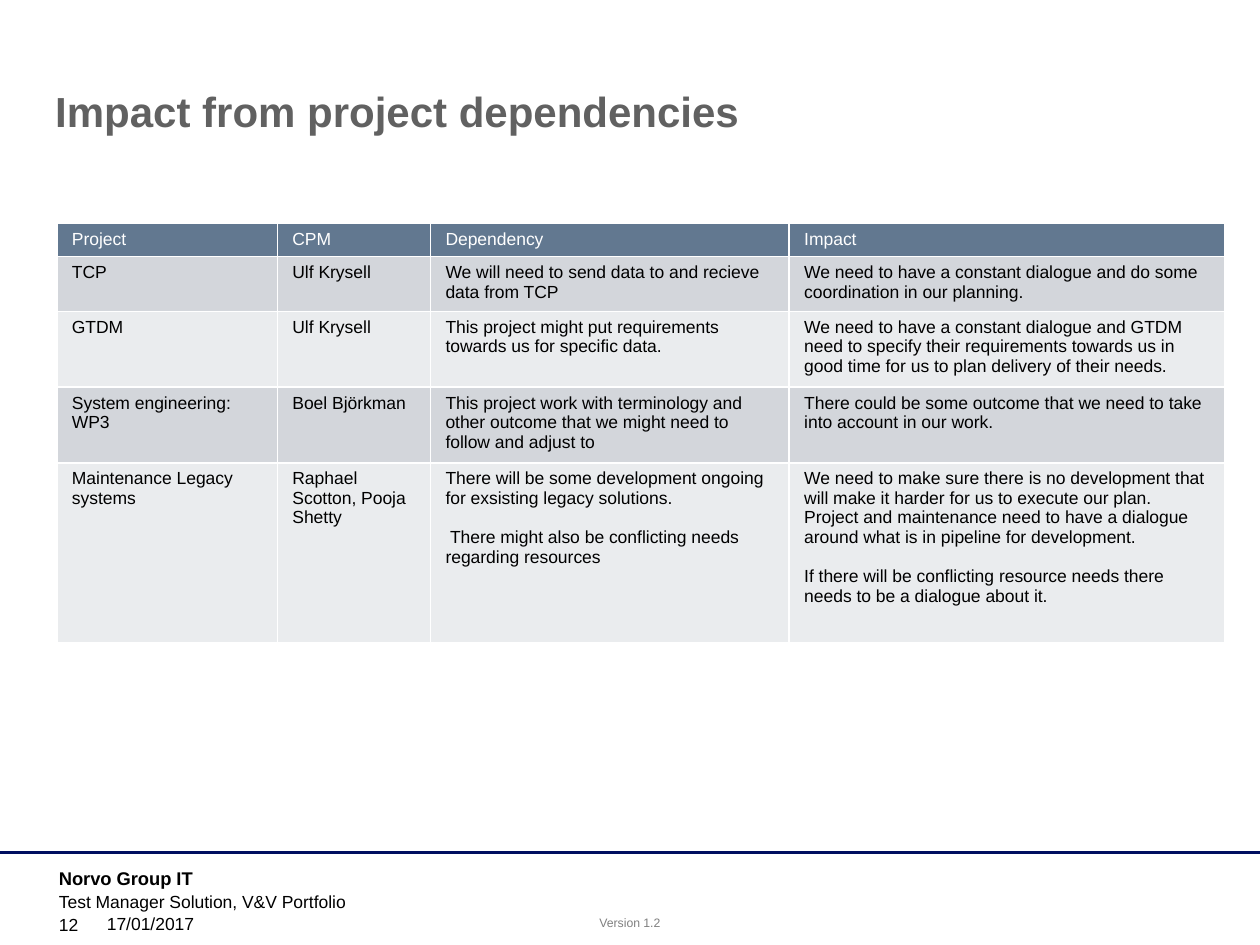
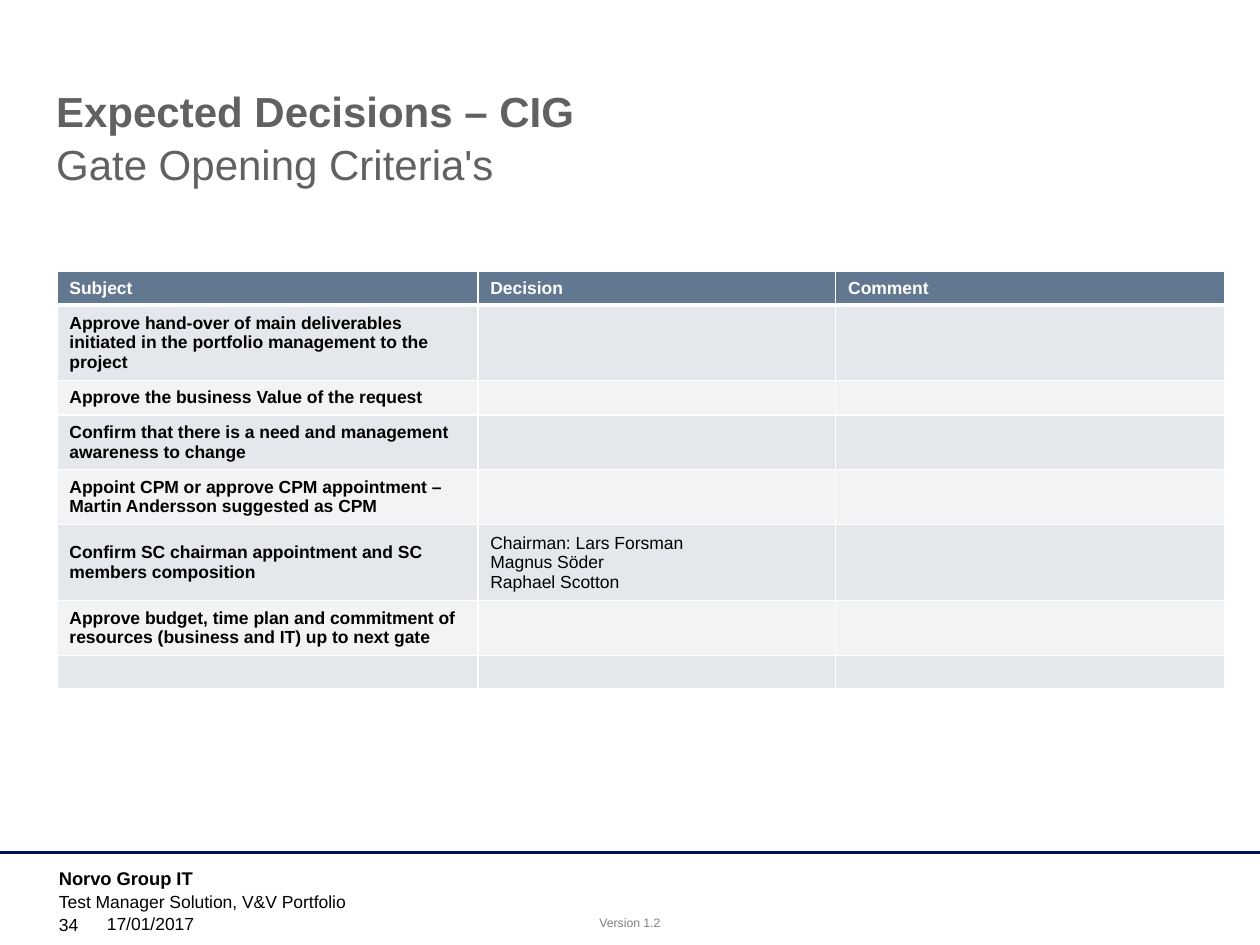
from lxml.etree import SubElement
from pptx import Presentation
from pptx.dml.color import RGBColor
from pptx.enum.shapes import MSO_CONNECTOR
from pptx.enum.text import MSO_ANCHOR, PP_ALIGN
from pptx.oxml.ns import qn
from pptx.util import Pt

FONT = "Arial"
WHITE, BLACK, GREY, SILVER = "FFFFFF", "000000", "616161", "808080"
NAVY, SLATE = "000F60", "627890"
DARK_BANDS = ("D3D6DB", "EAECEE")
LIGHT_BANDS = ("E4E7EB", "F2F3F5")
PAGE_WIDTH, PAGE_HEIGHT = 720, 540
TABLE_LEFT = 32.5
PARAGRAPH_GAP = 11.2

DEPENDENCIES = [
    ("Project", "CPM", "Dependency", "Impact"),
    ("TCP", "Ulf Krysell",
     "We will need to send data to and recieve data from TCP",
     "We need to have a constant dialogue and do some coordination in our planning."),
    ("GTDM", "Ulf Krysell",
     "This project might put requirements towards us for specific data.",
     "We need to have a constant dialogue and GTDM need to specify their requirements "
     "towards us in good time for us to plan delivery of their needs."),
    ("System engineering: WP3", "Boel Björkman",
     "This project work with terminology and other outcome that we might need to "
     "follow and adjust to",
     "There could be some outcome that we need to take into account in our work."),
    ("Maintenance Legacy systems", "Raphael Scotton, Pooja Shetty",
     "There will be some development ongoing for exsisting legacy solutions.\n"
     " There might also be conflicting needs regarding resources",
     "We need to make sure there is no development that will make it harder for us to "
     "execute our plan. Project and maintenance need to have a dialogue around what is "
     "in pipeline for development.\n"
     "If there will be conflicting resource needs there needs to be a dialogue about it."),
]
DECISIONS = [
    ("Subject", "Decision", "Comment"),
    ("Approve hand-over of main deliverables initiated in the portfolio management "
     "to the project", "", ""),
    ("Approve the business Value of the request", "", ""),
    ("Confirm that there is a need and management awareness to change", "", ""),
    ("Appoint CPM or approve CPM appointment – Martin Andersson suggested as CPM", "", ""),
    ("Confirm SC chairman appointment and SC members composition",
     "Chairman: Lars Forsman\nMagnus Söder\nRaphael Scotton", ""),
    ("Approve budget, time plan and commitment of resources (business and IT) up to "
     "next gate", "", ""),
    ("", "", ""),
]


def color(value):
    """Turn a hex string into a colour."""
    return RGBColor.from_string(value)


def style_span(span, size, fill, bold=False):
    """Set the font of one run."""
    span.font.name = FONT
    span.font.size = Pt(size)
    span.font.bold = bold
    span.font.color.rgb = color(fill)


def add_text(page, box, text, size, fill=BLACK, bold=False,
             anchor=MSO_ANCHOR.TOP, align=PP_ALIGN.LEFT, wrap=True):
    """Add a text box of one paragraph and return that paragraph."""
    frame = page.shapes.add_textbox(*map(Pt, box)).text_frame
    frame.word_wrap = wrap
    frame.vertical_anchor = anchor
    para = frame.paragraphs[0]
    para.text = text
    para.alignment = align
    for span in para.runs:
        style_span(span, size, fill, bold)
    return para


def add_title(page, box, heading, subheading=""):
    """Add the bold heading with an optional light second line."""
    text = f"{heading}\v{subheading}" if subheading else heading
    para = add_text(page, box, text, 24, GREY, True)
    para.line_spacing = 1.05
    for span in para.runs[1:]:
        span.font.bold = False


def add_footer(page, top, number):
    """Add the rule and the footer texts below it."""
    rule = page.shapes.add_connector(
        MSO_CONNECTOR.STRAIGHT, Pt(0), Pt(top), Pt(PAGE_WIDTH), Pt(top))
    rule.line.color.rgb = color(NAVY)
    rule.line.width = Pt(2)
    SubElement(rule._element.spPr, qn("a:effectLst"))
    left, bottom = 26.6, MSO_ANCHOR.BOTTOM
    add_text(page, (left, top + 5, 168, 17), "Norvo Group IT", 10.5, bold=True)
    add_text(page, (335, top + 32.5, 50, 16), "Version 1.2", 7, SILVER,
             align=PP_ALIGN.CENTER, wrap=False)
    add_text(page, (left, top + 18.7, 541, 17), "Test Manager Solution, V&V Portfolio", 10)
    add_text(page, (left, top + 34, 40, 16.5), number, 10, anchor=bottom)
    add_text(page, (54, top + 33.5, 189, 16.5), "17/01/2017", 10, anchor=bottom)


def add_borders(cell, top=1, bottom=1):
    """Draw white lines round a cell."""
    properties = cell._tc.get_or_add_tcPr()
    for side, width in (("L", 1), ("R", 1), ("T", top), ("B", bottom)):
        line = SubElement(properties, qn(f"a:ln{side}"), w=str(Pt(width)))
        SubElement(SubElement(line, qn("a:solidFill")), qn("a:srgbClr"), val=WHITE)


def fill_cell(cell, text, fill, ink, bold, anchor, inset, gap):
    """Set the fill, the insets and the text of a cell."""
    cell.fill.solid()
    cell.fill.fore_color.rgb = color(fill)
    cell.vertical_anchor = anchor
    cell.margin_left = cell.margin_right = Pt(inset)
    cell.margin_top = cell.margin_bottom = Pt(3.6)
    cell.text_frame.text = text
    for index, para in enumerate(cell.text_frame.paragraphs):
        if index:
            para.space_before = Pt(gap)
        for span in para.runs:
            style_span(span, 10, ink, bold)
        if not para.runs:
            SubElement(para._p, qn("a:endParaRPr"), sz="1000")


def add_grid(page, top, widths, heights, rows, bands, bold_headings=False,
             header_rule=1, anchor=MSO_ANCHOR.TOP, inset=8.6, gap=0):
    """Add a banded table with a slate header row."""
    box = (TABLE_LEFT, top, sum(widths), sum(heights))
    table = page.shapes.add_table(len(rows), len(widths), *map(Pt, box)).table
    for column, width in zip(table.columns, widths):
        column.width = Pt(width)
    for row, height in zip(table.rows, heights):
        row.height = Pt(height)
    for i, texts in enumerate(rows):
        for j, text in enumerate(texts):
            cell = table.cell(i, j)
            add_borders(cell, header_rule if i == 1 else 1, header_rule if i == 0 else 1)
            fill_cell(cell, text, bands[(i - 1) % 2] if i else SLATE,
                      BLACK if i else WHITE, bold_headings and 0 in (i, j),
                      anchor, inset, gap)


def build_dependencies(page):
    """Build the slide on project dependencies."""
    add_footer(page, 487.2, "12")
    add_title(page, (24.5, 44, 656.5, 60.5), "Impact from project dependencies")
    add_grid(page, 127.4, (126, 87.5, 205, 249), (18.6, 30.8, 43, 43, 102.6),
             DEPENDENCIES, DARK_BANDS, gap=PARAGRAPH_GAP)


def build_decisions(page):
    """Build the slide on expected decisions."""
    add_footer(page, 487.2, "34")
    add_title(page, (25, 44, 675.5, 60.5), "Expected Decisions – CIG",
              "Gate Opening Criteria's")
    add_grid(page, 155, (240.5, 204.5, 222.5),
             (18.7, 43, 19.5, 31.4, 31.4, 43.4, 31.4, 18.7), DECISIONS, LIGHT_BANDS,
             bold_headings=True, header_rule=3, anchor=MSO_ANCHOR.MIDDLE, inset=7.2)


def main():
    """Build and save the deck."""
    deck = Presentation()
    deck.slide_width, deck.slide_height = Pt(PAGE_WIDTH), Pt(PAGE_HEIGHT)
    for build in (build_dependencies, build_decisions):
        build(deck.slides.add_slide(deck.slide_layouts[6]))
    deck.save("out.pptx")


if __name__ == "__main__":
    main()
